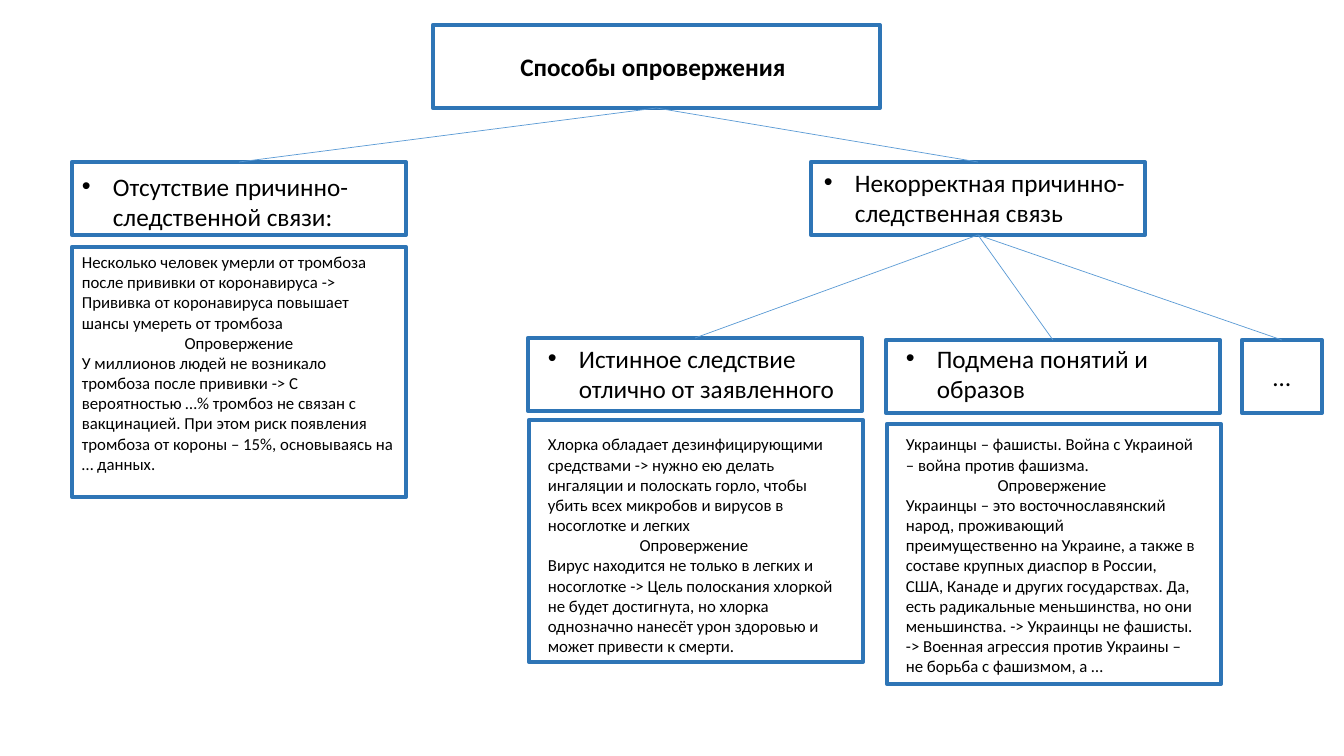
import pptx
import pptx.dml.color
import pptx.enum.shapes
import pptx.enum.text
import pptx.oxml.ns
import pptx.util
from lxml import etree

BLACK = pptx.dml.color.RGBColor(0x00, 0x00, 0x00)
FRAME_BLUE = pptx.dml.color.RGBColor(0x2E, 0x75, 0xB6)
LINK_BLUE = pptx.dml.color.RGBColor(0x5B, 0x9B, 0xD5)
FONT = "Calibri"
HEAD_SIZE, BODY_SIZE = 18, 12
INDENT = 31
FRAME_W, FRAME_H = 334, 73
TOP, BOTTOM = 0, 2  # connection sites of a rectangle
CENTER = pptx.enum.text.PP_ALIGN.CENTER
REFUTATION = "Опровержение"

ABSENT = (
    "Отсутствие причинно-следственной связи:",
    "Несколько человек умерли от тромбоза после прививки от коронавируса -> "
    "Прививка от коронавируса повышает шансы умереть от тромбоза",
    "У миллионов людей не возникало тромбоза после прививки -> С вероятностью "
    "…% тромбоз не связан с вакцинацией. При этом риск появления тромбоза от "
    "короны – 15%, основываясь на … данных.",
)
OTHER_EFFECT = (
    "Истинное следствие отлично от заявленного",
    "Хлорка обладает дезинфицирующими средствами -> нужно ею делать ингаляции "
    "и полоскать горло, чтобы убить всех микробов и вирусов в носоглотке и легких",
    "Вирус находится не только в легких и носоглотке -> Цель полоскания хлоркой "
    "не будет достигнута, но хлорка однозначно нанесёт урон здоровью и может "
    "привести к смерти.",
)
SUBSTITUTION = (
    "Подмена понятий и образов",
    "Украинцы – фашисты. Война с Украиной – война против фашизма.",
    "Украинцы – это восточнославянский народ, проживающий преимущественно на "
    "Украине, а также в составе крупных диаспор в России, США, Канаде и других "
    "государствах. Да, есть радикальные меньшинства, но они меньшинства. -> "
    "Украинцы не фашисты. -> Военная агрессия против Украины – не борьба с "
    "фашизмом, а …",
)


def px(n):
    """Turn slide pixels into EMU."""
    return pptx.util.Emu(round(n * 914400 / 100.8))


def write(p, text, size, bold=False, align=None):
    """Fill a paragraph and set its font."""
    p.text = text
    p.alignment = align
    p.font.name = FONT
    p.font.size = pptx.util.Pt(size)
    p.font.bold = bold
    p.font.color.rgb = BLACK


def add_bullet(p):
    """Give a paragraph a hanging round bullet."""
    pPr = p._p.get_or_add_pPr()
    pPr.set("marL", str(px(INDENT)))
    pPr.set("indent", str(-px(INDENT)))
    font = etree.Element(pptx.oxml.ns.qn("a:buFont"), typeface="Arial")
    char = etree.Element(pptx.oxml.ns.qn("a:buChar"), char="•")
    defaults = pPr.find(pptx.oxml.ns.qn("a:defRPr"))
    defaults.addprevious(font)
    defaults.addprevious(char)


def add_text(s, x, y, w, h):
    """Add a wrapping text box and return its text frame."""
    tf = s.shapes.add_textbox(px(x), px(y), px(w), px(h)).text_frame
    tf.word_wrap = True
    return tf


def add_branch(s, box, heading, *arguments, gap=0):
    """Add a bulleted heading and, below a gap, a claim and its refutation."""
    tf = add_text(s, *box)
    write(tf.paragraphs[0], heading, HEAD_SIZE)
    add_bullet(tf.paragraphs[0])
    if arguments:
        claim, answer = arguments
        for text, align in ((claim, None), (REFUTATION, CENTER), (answer, None)):
            write(tf.add_paragraph(), text, BODY_SIZE, align=align)
        tf.paragraphs[1].space_before = pptx.util.Pt(gap)


def add_frame(s, x, y, w=FRAME_W, h=FRAME_H):
    """Add an unfilled blue rectangle."""
    sp = s.shapes.add_shape(
        pptx.enum.shapes.MSO_SHAPE.RECTANGLE, px(x), px(y), px(w), px(h))
    sp.shadow.inherit = False
    sp.fill.background()
    sp.line.color.rgb = FRAME_BLUE
    sp.line.width = pptx.util.Pt(3)
    return sp


def add_link(s, parent, child):
    """Join the bottom of a parent frame to the top of a child frame."""
    link = s.shapes.add_connector(
        pptx.enum.shapes.MSO_CONNECTOR.STRAIGHT, 0, 0, 0, 0)
    link.begin_connect(parent, BOTTOM)
    link.end_connect(child, TOP)
    link.line.color.rgb = LINK_BLUE
    link.line.width = pptx.util.Pt(0.5)
    etree.SubElement(link._element.spPr, pptx.oxml.ns.qn("a:effectLst"))


def main():
    """Build the slide with the tree of refutation methods."""
    prs = pptx.Presentation()
    prs.slide_width, prs.slide_height = px(1344), px(756)
    s = prs.slides.add_slide(prs.slide_layouts[6])

    title = add_text(s, 432, 46, 442, 40)
    write(title.paragraphs[0], "Способы опровержения", HEAD_SIZE, True, CENTER)
    root = add_frame(s, 433, 25, 447, 83)

    add_branch(s, (538, 338, 312, 367), *OTHER_EFFECT, gap=22)
    other_effect = add_frame(s, 528, 338)
    add_frame(s, 529, 420, h=242)

    add_branch(s, (896, 338, 312, 387), *SUBSTITUTION, gap=22)
    substitution = add_frame(s, 886, 340)
    add_frame(s, 887, 424, h=260)

    add_branch(s, (814, 162, 367, 92), "Некорректная причинно-следственная связь")
    incorrect = add_frame(s, 811, 162)

    add_branch(s, (72, 166, 334, 316), *ABSENT, gap=14.6)
    absent = add_frame(s, 72, 162)
    add_frame(s, 72, 247, h=250)

    more = add_frame(s, 1242, 340, w=80)
    more.text_frame.vertical_anchor = pptx.enum.text.MSO_ANCHOR.MIDDLE
    write(more.text_frame.paragraphs[0], "…", HEAD_SIZE, align=CENTER)

    for parent, children in ((root, (absent, incorrect)),
                             (incorrect, (other_effect, substitution, more))):
        for child in children:
            add_link(s, parent, child)

    prs.save("out.pptx")


main()
